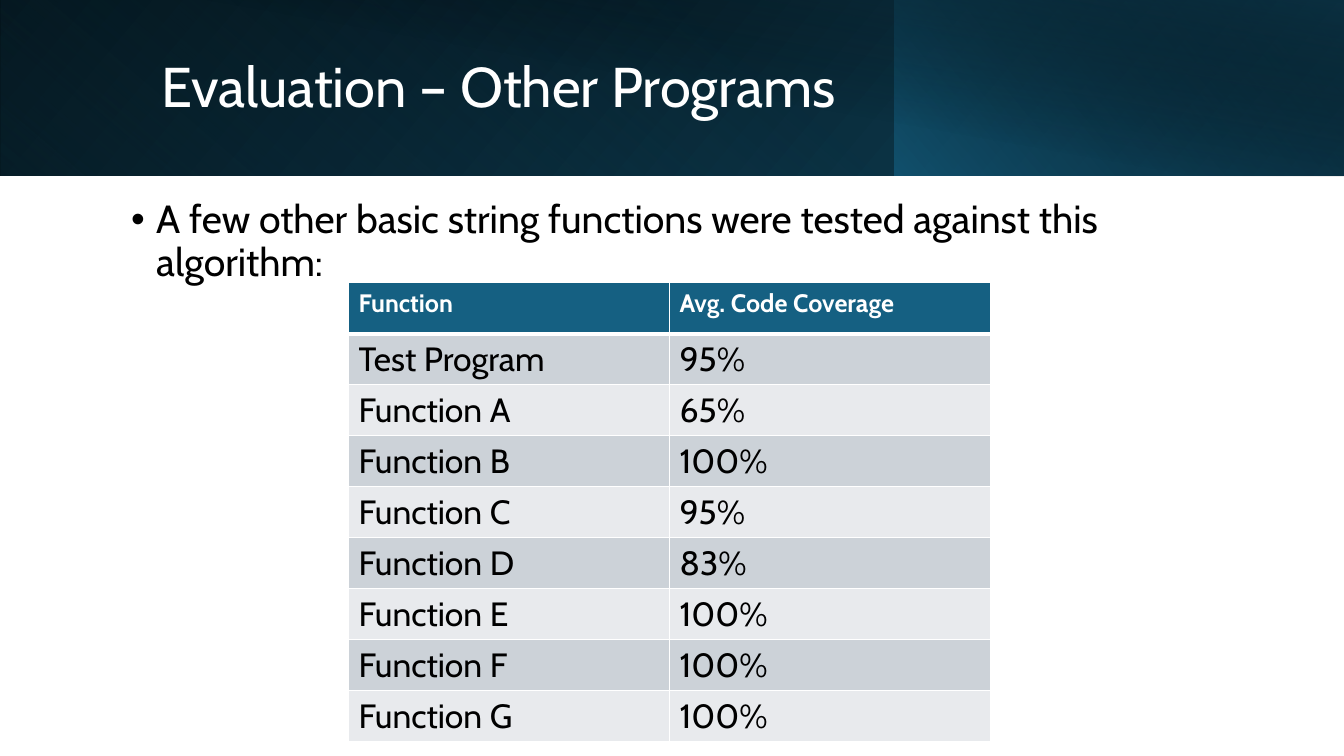
import pptx
import pptx.dml.color
import pptx.enum.shapes
import pptx.enum.text
import pptx.oxml
import pptx.oxml.ns
import pptx.util

Pt = pptx.util.Pt
FONT = "Cabin"
NAMESPACE = pptx.oxml.ns.nsdecls("a")

ROWS = [
    ("Function", "Avg. Code Coverage"),
    ("Test Program", "95%"),
    ("Function A", "65%"),
    ("Function B", "100%"),
    ("Function C", "95%"),
    ("Function D", "83%"),
    ("Function E", "100%"),
    ("Function F", "100%"),
    ("Function G", "100%"),
]


def color(hex_string):
    return pptx.dml.color.RGBColor.from_string(hex_string)


def set_values(target, values):
    for name, value in values.items():
        setattr(target, name, value)


def write_text(paragraph, text, size, hex_string, bold=False):
    run = paragraph.add_run()
    run.text = text
    set_values(run.font, {"name": FONT, "size": Pt(size), "bold": bold})
    run.font.color.rgb = color(hex_string)


def add_text(slide, box, text, size, hex_string, frame_values, paragraph_values):
    shape = slide.shapes.add_textbox(*map(Pt, box))
    frame = shape.text_frame
    set_values(frame, {
        "word_wrap": True,
        "vertical_anchor": pptx.enum.text.MSO_ANCHOR.MIDDLE,
        **frame_values,
    })
    paragraph = frame.paragraphs[0]
    set_values(paragraph, {"line_spacing": 0.9, **paragraph_values})
    write_text(paragraph, text, size, hex_string)
    return paragraph


def add_gradient(slide, box, stops, angle, flipped=True, rotation=0):
    shape = slide.shapes.add_shape(
        pptx.enum.shapes.MSO_SHAPE.RECTANGLE, *map(Pt, box))
    shape.shadow.inherit = False
    shape.line.fill.background()
    shape.rotation = rotation
    properties = shape.element.spPr
    if flipped:
        properties.xfrm.set("flipH", "1")
    stop_xml = "".join(
        f'<a:gs pos="{position * 1000}"><a:srgbClr val="{hex_string}">'
        f'<a:alpha val="{alpha * 1000}"/></a:srgbClr></a:gs>'
        for position, hex_string, alpha in stops)
    gradient = pptx.oxml.parse_xml(
        f'<a:gradFill {NAMESPACE} rotWithShape="1"><a:gsLst>{stop_xml}</a:gsLst>'
        f'<a:lin ang="{angle * 60000}" scaled="0"/></a:gradFill>')
    properties.find(pptx.oxml.ns.qn("a:prstGeom")).addnext(gradient)


def add_banner(slide, left, top, width, height):
    split = 639
    add_gradient(slide, (left, top, width, height),
                 [(0, "000000", 100), (100, "104862", 100)], 140)
    add_gradient(slide, (left, top, split, height),
                 [(20, "156082", 0), (100, "0B3041", 55)], 230, rotation=180)
    add_gradient(slide, (left + split, top, width - split, height),
                 [(0, "156082", 66), (100, "000000", 30)], 220)
    add_gradient(slide, (left + 36, top, width - 36, height + 0.5),
                 [(50, "000000", 0), (99, "0B3041", 52)], 280, flipped=False)
    add_text(slide, (left + 108, top + 23, 779, 81.5),
             "Evaluation – Other Programs", 40, "FFFFFF", {}, {})


def add_bullet(slide, left, top, width, height):
    paragraph = add_text(
        slide, (left, top, width, height),
        "A few other basic string functions were tested against this algorithm:",
        28, "000000", {"margin_bottom": Pt(43.6)}, {"space_before": Pt(10)})
    properties = paragraph._p.get_or_add_pPr()
    properties.set("marL", str(Pt(18)))
    properties.set("indent", str(-Pt(18)))
    for tag in ('buFont {} typeface="Arial"', 'buChar {} char="•"'):
        properties.append(pptx.oxml.parse_xml(f"<a:{tag.format(NAMESPACE)}/>"))


def set_borders(cell, widths):
    properties = cell._tc.get_or_add_tcPr()
    for index, (side, width) in enumerate(widths.items()):
        properties.insert(index, pptx.oxml.parse_xml(
            f'<a:ln{side} {NAMESPACE} w="{Pt(width)}"><a:solidFill>'
            f'<a:srgbClr val="FFFFFF"/></a:solidFill></a:ln{side}>'))


def add_coverage_table(slide, left, top, width, height):
    table = slide.shapes.add_table(
        len(ROWS), len(ROWS[0]), Pt(left), Pt(top), Pt(width), Pt(height)).table
    set_values(table, {"first_row": True, "horz_banding": False})
    for row_index, values in enumerate(ROWS):
        header = row_index == 0
        fill = "156082" if header else ("E8EAED", "CCD2D8")[row_index % 2]
        size, text_color = (18, "FFFFFF") if header else (24, "000000")
        for column_index, text in enumerate(values):
            cell = table.cell(row_index, column_index)
            cell.fill.solid()
            cell.fill.fore_color.rgb = color(fill)
            set_borders(cell, {"L": 1, "R": 1,
                               "T": 3 if row_index == 1 else 1,
                               "B": 3 if header else 1})
            write_text(cell.text_frame.paragraphs[0], text, size, text_color, header)


def main():
    presentation = pptx.Presentation()
    set_values(presentation, {"slide_width": Pt(960), "slide_height": Pt(540)})
    slide = presentation.slides.add_slide(presentation.slide_layouts[6])
    add_banner(slide, 0, 0, 960, 125.5)
    add_bullet(slide, 86.5, 48, 765.5, 290)
    add_coverage_table(slide, 249, 202, 458.5, 328)
    presentation.save("out.pptx")


if __name__ == "__main__":
    main()
